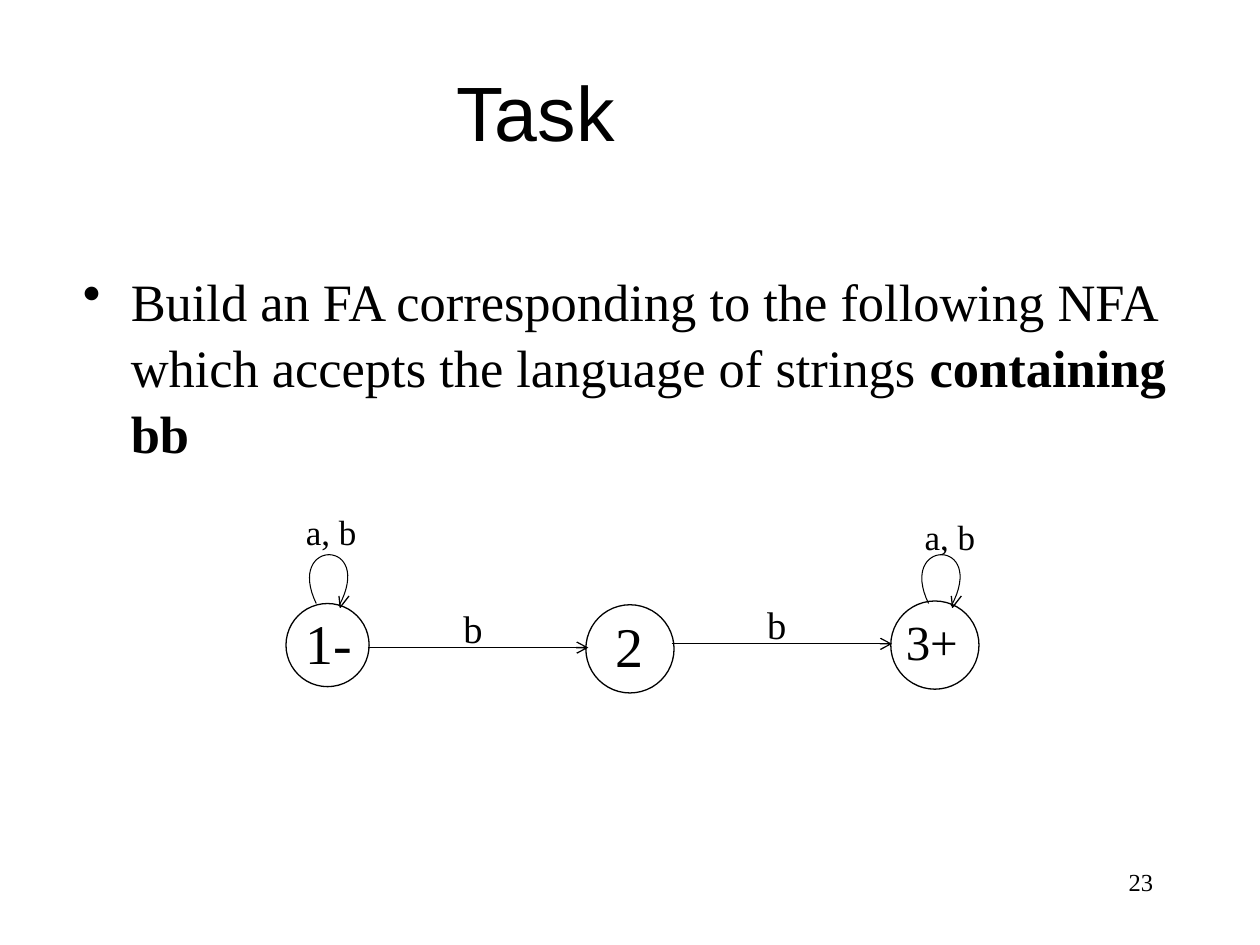
from pptx import Presentation
from pptx.util import Inches as In, Pt
from pptx.dml.color import RGBColor as RGB
from pptx.enum.shapes import MSO_SHAPE as Shape, MSO_CONNECTOR as Conn
from pptx.enum.text import PP_ALIGN as Align, MSO_ANCHOR as Anchor
from pptx.oxml.xmlchemy import OxmlElement as Node

BLACK = RGB(0, 0, 0)
WHITE = RGB(255, 255, 255)
SERIF = "Times New Roman"
STEPS = 32
STATES = [
    ("1-", 2.27, 4.79, 0.66, (2.33, 4.78), 32),
    ("2", 4.65, 4.80, 0.70, (4.79, 4.80), 32),
    ("3+", 7.07, 4.77, 0.70, (7.09, 4.80), 28),
]
EDGES = [(2.92, 5.14, 3.58, 4.75), (5.33, 5.11, 5.99, 4.72)]
LOOPS = [(2.51, 2.33, 4.00), (7.37, 7.24, 4.04)]
BEND = [(0, 4.79), (-0.25, 4.27), (0.47, 4.27), (0.18, 4.81)]
HEAD = [(0.18, 4.73), (0.19, 4.82), (0.26, 4.73)]


def add_text(slide, text, x, y, w, h, size=20, font=SERIF,
             align=Align.LEFT, anchor=Anchor.TOP, bold=""):
    frame = slide.shapes.add_textbox(In(x), In(y), In(w), In(h)).text_frame
    frame.word_wrap = True
    frame.vertical_anchor = anchor
    para = frame.paragraphs[0]
    para.alignment = align
    for part, heavy in ((text, False), (bold, True)):
        if part:
            run = para.add_run()
            run.text = part
            run.font.size = Pt(size)
            run.font.name = font
            run.font.bold = heavy
            run.font.color.rgb = BLACK
    return para


def add_bullet(para, indent):
    para.space_before = Pt(7.5)
    para.line_spacing = 1.05
    props = para._p.get_or_add_pPr()
    props.set("marL", str(In(indent)))
    props.set("indent", str(-In(indent)))
    mark = Node("a:buChar")
    mark.set("char", "•")
    props.append(mark)


def add_state(slide, name, x, y, size, spot, points):
    disc = slide.shapes.add_shape(Shape.OVAL, In(x), In(y), In(size), In(size))
    disc.shadow.inherit = False
    disc.fill.solid()
    disc.fill.fore_color.rgb = WHITE
    disc.line.color.rgb = BLACK
    disc.line.width = Pt(0.74)
    add_text(slide, name, *spot, 0.75, 0.58, size=points)


def add_edge(slide, x, y, left, top):
    line = slide.shapes.add_connector(
        Conn.STRAIGHT, In(x), In(y), In(x + 1.75), In(y))
    line.line.color.rgb = BLACK
    line.line.width = Pt(0.74)
    tip = Node("a:tailEnd")
    tip.set("type", "arrow")
    line.line._get_or_add_ln().append(tip)
    line._element.spPr.append(Node("a:effectLst"))
    add_text(slide, "b", left, top, 0.41, 0.4, size=22)


def curve(t):
    rates = [(1 - t) ** 3, 3 * t * (1 - t) ** 2, 3 * t * t * (1 - t), t ** 3]
    return tuple(sum(r * p[axis] for r, p in zip(rates, BEND))
                 for axis in (0, 1))


def add_path(slide, points, x, width):
    spots = [(In(x + dx), In(y)) for dx, y in points]
    pen = slide.shapes.build_freeform(*spots[0])
    pen.add_line_segments(spots[1:], close=False)
    form = pen.convert_to_shape()
    form.shadow.inherit = False
    form.fill.background()
    form.line.color.rgb = BLACK
    form.line.width = Pt(width)


def add_loop(slide, x, left, top):
    add_path(slide, [curve(i / STEPS) for i in range(STEPS + 1)], x, 0.6)
    add_path(slide, HEAD, x, 0.74)
    add_text(slide, "a, b", left, top, 1.17, 0.42)


def main():
    deck = Presentation()
    deck.slide_width, deck.slide_height = In(10), In(7.5)
    slide = deck.slides.add_slide(deck.slide_layouts[6])
    add_text(slide, "Task", 0, 0.25, 8.5, 1.25, size=44, font="Arial",
             align=Align.CENTER, anchor=Anchor.MIDDLE)
    task = add_text(
        slide, "Build an FA corresponding to the following NFA which accepts "
        "the language of strings ", 0.56, 2.06, 8.94, 4.56, size=30,
        bold="containing bb")
    add_bullet(task, 0.38)
    for state in STATES:
        add_state(slide, *state)
    for edge in EDGES:
        add_edge(slide, *edge)
    for loop in LOOPS:
        add_loop(slide, *loop)
    add_text(slide, "23", 7.17, 6.83, 2.08, 0.5, size=14, align=Align.RIGHT)
    deck.save("out.pptx")


main()
